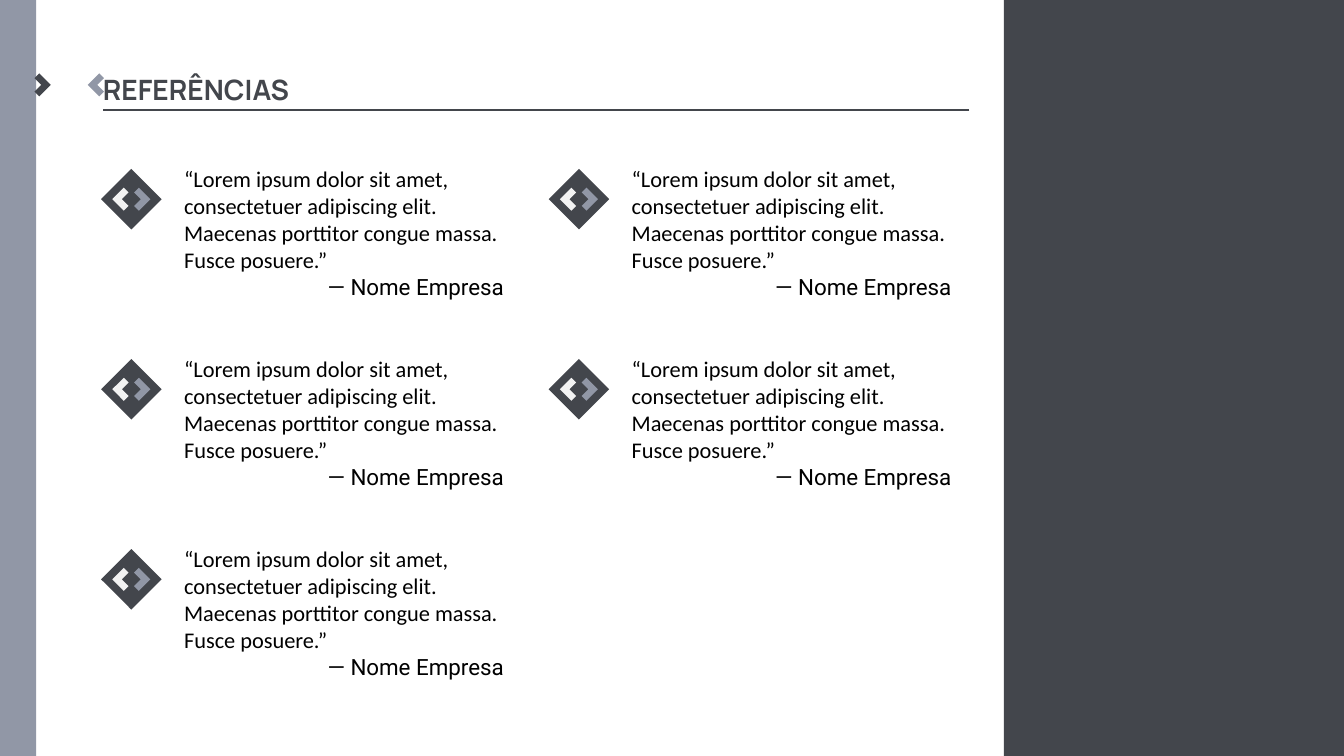
from pptx import Presentation
from pptx.dml.color import RGBColor
from pptx.enum.shapes import MSO_CONNECTOR as Connector, MSO_SHAPE as Shape
from pptx.enum.text import MSO_ANCHOR as Anchor, MSO_AUTO_SIZE as AutoSize, PP_ALIGN as Align
from pptx.oxml.ns import qn
from pptx.util import Cm, Pt
from lxml.etree import SubElement

COLORS = {"dark": "43464C", "grey": "9197A6", "light": "F2F2F2", "text": "000000"}
FORMATS = {
    "title": {"name": "Manrope", "size": Pt(20), "bold": True},
    "quote": {"name": "Calibri", "size": Pt(16)},
    "author": {"name": "Roboto", "size": Pt(16)},
}
QUOTE = ("“Lorem ipsum dolor sit amet, consectetuer adipiscing elit. "
         "Maecenas porttitor congue massa. Fusce posuere.”")
AUTHOR = "― Nome Empresa"

# Right-pointing chevron around its own centre, in cm
CHEVRON = [(0, -0.29), (0.29, 0), (0, 0.29), (-0.12, 0.17), (0.05, 0), (-0.12, -0.17)]

# Centre of the first emblem and the grid steps, in cm
FIRST_X, FIRST_Y = 3.31, 5.02
COLUMN_STEP, ROW_STEP = 11.28, 4.79
ROWS_PER_COLUMN = [3, 2]


class ReferenceSlide:
    def __init__(self, deck):
        self.page = deck.slides.add_slide(deck.slide_layouts[5])

    def color(self, name):
        return RGBColor.from_string(COLORS[name])

    def paint(self, shape, color):
        shape.shadow.inherit = False
        shape.fill.solid()
        shape.fill.fore_color.rgb = self.color(color)
        shape.line.fill.background()

    def style(self, para, text, kind, color):
        span = para.add_run()
        span.text = text
        for key, value in FORMATS[kind].items():
            setattr(span.font, key, value)
        span.font.color.rgb = self.color(color)

    def title(self, text, left, top, width, height):
        box = self.page.shapes.title
        box.left, box.top, box.width, box.height = map(Cm, (left, top, width, height))
        box.text_frame.vertical_anchor = Anchor.MIDDLE
        box.text_frame.word_wrap = True
        para = box.text_frame.paragraphs[0]
        para.alignment = Align.LEFT
        para.line_spacing = 0.9
        self.style(para, text, "title", "dark")

    def rectangle(self, shapes, left, top, width, height, color, rotation=0):
        shape = shapes.add_shape(Shape.RECTANGLE, *map(Cm, (left, top, width, height)))
        shape.rotation = rotation
        self.paint(shape, color)

    def rule(self, start_x, end_x, y):
        line = self.page.shapes.add_connector(
            Connector.STRAIGHT, Cm(start_x), Cm(y), Cm(end_x), Cm(y))
        line.line.color.rgb = self.color("dark")
        line.line.width = Pt(1.5)
        SubElement(line._element.spPr, qn("a:effectLst"))

    def chevron(self, shapes, x, y, direction, color):
        points = [(Cm(x + direction * dx), Cm(y + dy)) for dx, dy in CHEVRON]
        builder = shapes.build_freeform(*points[0])
        builder.add_line_segments(points[1:], close=True)
        self.paint(builder.convert_to_shape(), color)

    def quote(self, shapes, left, top, width, height):
        box = shapes.add_textbox(*map(Cm, (left, top, width, height)))
        frame = box.text_frame
        frame.word_wrap = True
        frame.auto_size = AutoSize.SHAPE_TO_FIT_TEXT
        self.style(frame.paragraphs[0], QUOTE, "quote", "text")
        para = frame.add_paragraph()
        para.alignment = Align.RIGHT
        self.style(para, AUTHOR, "author", "text")

    def reference(self, x, y):
        shapes = self.page.shapes.add_group_shape().shapes
        self.quote(shapes, x + 1.08, y - 0.98, 8.56, 3.68)
        self.rectangle(shapes, x - 0.54, y - 0.54, 1.08, 1.08, "dark", rotation=45)
        self.chevron(shapes, x + 0.19, y, 1, "grey")
        self.chevron(shapes, x - 0.19, y, -1, "light")


def main():
    deck = Presentation()
    deck.slide_width, deck.slide_height = Cm(33.87), Cm(19.05)
    slide = ReferenceSlide(deck)
    shapes = slide.page.shapes

    # Heading and side panels
    slide.title("REFERÊNCIAS", 2.34, 1.02, 29.21, 2.57)
    slide.rectangle(shapes, 25.3, 0, 8.57, 19.05, "dark")
    slide.rule(24.43, 2.59, 2.77)
    slide.rectangle(shapes, 0, 0, 0.91, 19.05, "grey")

    # Quotes, column by column
    for column, rows in enumerate(ROWS_PER_COLUMN):
        for row in range(rows):
            slide.reference(FIRST_X + column * COLUMN_STEP, FIRST_Y + row * ROW_STEP)

    # Chevrons beside the heading
    slide.chevron(shapes, 0.99, 2.14, 1, "dark")
    slide.chevron(shapes, 2.5, 2.14, -1, "grey")

    deck.save("out.pptx")


if __name__ == "__main__":
    main()
